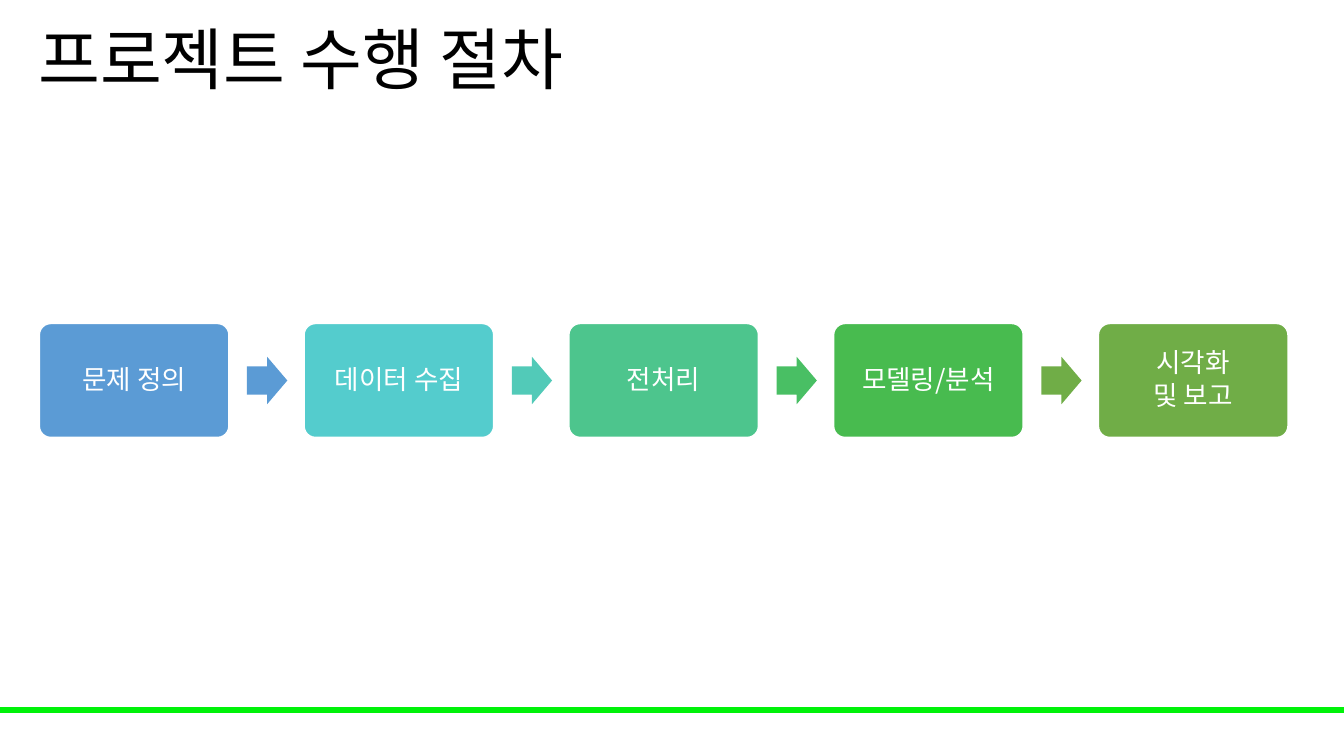
from lxml import etree
from pptx import Presentation
from pptx.dml.color import RGBColor
from pptx.enum.shapes import MSO_SHAPE
from pptx.enum.text import MSO_ANCHOR, MSO_AUTO_SIZE, PP_ALIGN
from pptx.oxml.ns import qn
from pptx.util import Inches, Pt

BOX, ARROW, BAR = MSO_SHAPE.ROUNDED_RECTANGLE, MSO_SHAPE.RIGHT_ARROW, MSO_SHAPE.RECTANGLE
MIDDLE, NO_FIT = MSO_ANCHOR.MIDDLE, MSO_AUTO_SIZE.NONE
LEFT, CENTER = PP_ALIGN.LEFT, PP_ALIGN.CENTER

BLACK = RGBColor(0x00, 0x00, 0x00)
WHITE = RGBColor(0xFF, 0xFF, 0xFF)
LIME = RGBColor(0x00, 0xF2, 0x09)
BLUE = RGBColor(0x5B, 0x9B, 0xD5)
TURQUOISE = RGBColor(0x54, 0xCC, 0xCD)
TEAL = RGBColor(0x52, 0xCA, 0xB8)
MINT = RGBColor(0x4D, 0xC5, 0x8D)
EMERALD = RGBColor(0x49, 0xBF, 0x64)
GREEN = RGBColor(0x48, 0xBB, 0x4F)
OLIVE = RGBColor(0x70, 0xAD, 0x47)
FONT = "Noto Sans CJK KR"

# Content: lines of each step, its colour, colour of the arrow after it
TITLE = "프로젝트 수행 절차"
STEPS = [
    (["문제 정의"], BLUE, BLUE),
    (["데이터 수집"], TURQUOISE, TEAL),
    (["전처리"], MINT, EMERALD),
    (["모델링/분석"], GREEN, OLIVE),
    (["시각화", "및 보고"], OLIVE, None),
]

# Layout in inches
SLIDE_W, SLIDE_H = 13.33, 7.5
STEP_LEFT, STEP_TOP, STEP_W, STEP_H = 0.39, 3.21, 1.88, 1.13
STEP_PITCH = 2.626
ARROW_OFFSET, ARROW_W, ARROW_H = 2.06, 0.4, 0.47
STEP_INSET = 0.11


def add_block(slide, kind, place, fill, line=None):
    block = slide.shapes.add_shape(kind, *(Inches(v) for v in place))
    block.shadow.inherit = False
    block.fill.solid()
    block.fill.fore_color.rgb = fill
    if line is None:
        block.line.fill.background()
    else:
        block.line.color.rgb = line
        block.line.width = Pt(1)
    return block


def write_lines(frame, lines, size, color, align, space_after, inset=None):
    frame_format = {"word_wrap": True, "auto_size": NO_FIT, "vertical_anchor": MIDDLE}
    if inset is not None:
        for side in ("left", "right", "top", "bottom"):
            frame_format[f"margin_{side}"] = Inches(inset)
    for name, value in frame_format.items():
        setattr(frame, name, value)
    paragraph_format = {"alignment": align, "line_spacing": 0.9,
                        "space_before": Pt(0), "space_after": Pt(space_after)}
    for index, line in enumerate(lines):
        paragraph = frame.add_paragraph() if index else frame.paragraphs[0]
        for name, value in paragraph_format.items():
            setattr(paragraph, name, value)
        run = paragraph.add_run()
        run.text = line
        run.font.size = Pt(size)
        run.font.color.rgb = color
        run.font.name = FONT
        # Hangul takes the East Asian typeface
        etree.SubElement(run.font._element, qn("a:ea"), typeface=FONT)


def main():
    prs = Presentation()
    prs.slide_width, prs.slide_height = Inches(SLIDE_W), Inches(SLIDE_H)
    slide = prs.slides.add_slide(prs.slide_layouts[5])

    # Footer bar
    add_block(slide, BAR, (0, 7.02, SLIDE_W, 0.05), LIME, LIME)

    # Title
    title = slide.shapes.title
    title_place = {"left": 0.28, "top": 0, "width": 11.5, "height": 1.25}
    for name, value in title_place.items():
        setattr(title, name, Inches(value))
    write_lines(title.text_frame, [TITLE], 48, BLACK, LEFT, 0)

    # Process steps with arrows between them
    arrow_top = STEP_TOP + (STEP_H - ARROW_H) / 2
    for index, (lines, step_color, arrow_color) in enumerate(STEPS):
        left = STEP_LEFT + index * STEP_PITCH
        step = add_block(slide, BOX, (left, STEP_TOP, STEP_W, STEP_H), step_color, WHITE)
        step.adjustments[0] = 0.1
        write_lines(step.text_frame, lines, 19, WHITE, CENTER, 2.5, STEP_INSET)
        if arrow_color is not None:
            arrow = add_block(slide, ARROW, (left + ARROW_OFFSET, arrow_top, ARROW_W, ARROW_H),
                              arrow_color)
            arrow.adjustments[0] = 0.6
            arrow.adjustments[1] = 0.5

    prs.save("out.pptx")


if __name__ == "__main__":
    main()
